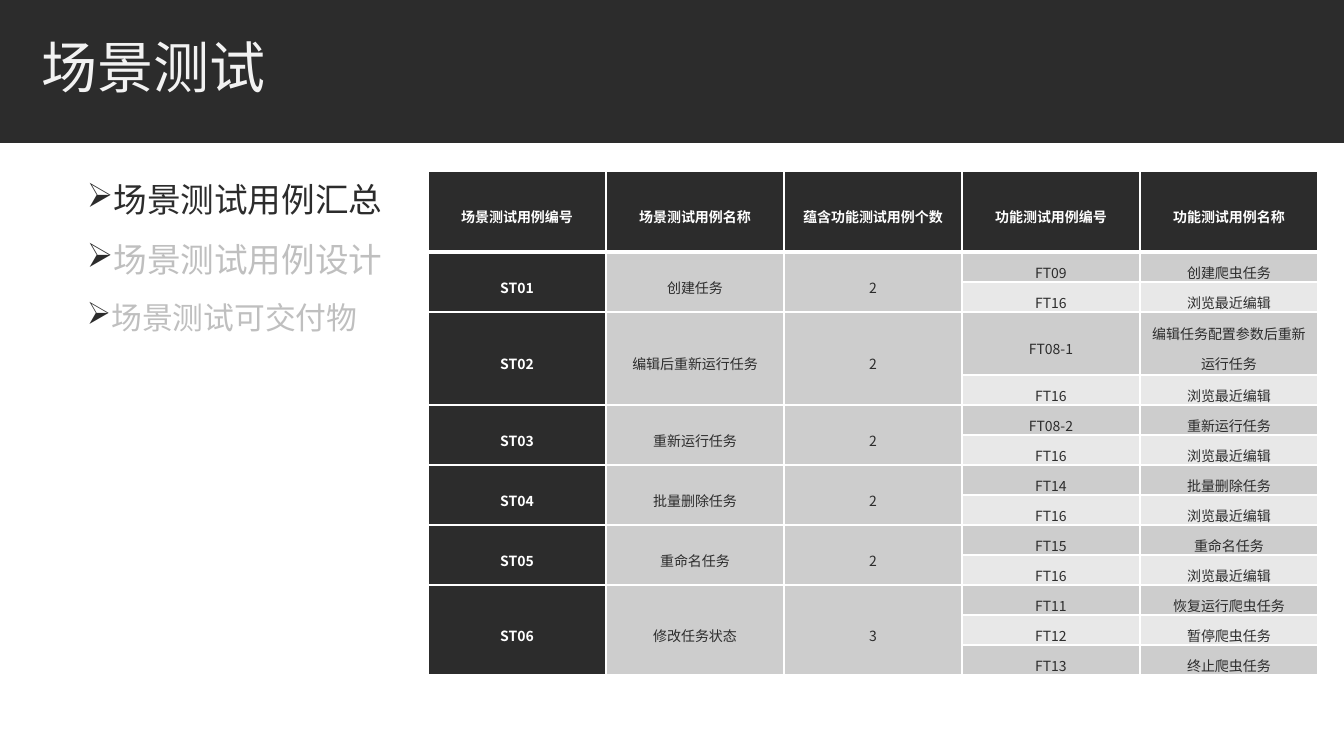
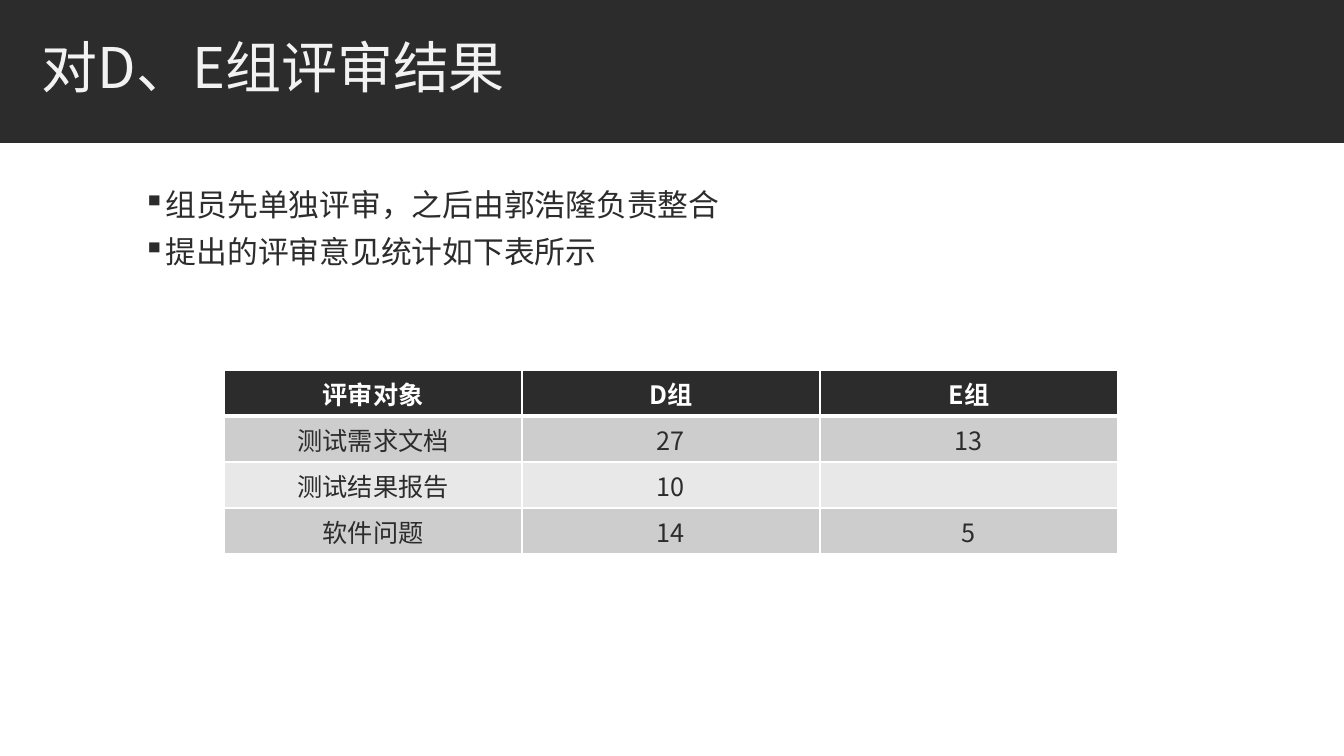
"""Build two slides on scenario testing: a test case summary and review results."""
from lxml import etree
from pptx import Presentation, util as u
from pptx.dml.color import RGBColor
from pptx.enum import shapes, text
from pptx.oxml.ns import qn

PX = 9072
FONT = "Noto Sans CJK SC"
DARK, WHITE, TITLE_INK, MUTED = "2C2C2C", "FFFFFF", "F2F2F2", "BFBFBF"
BANDS = ("E8E8E8", "CDCDCD")


def colour(value):
    return RGBColor.from_string(value)


def style(paragraph, size, ink, spacing=1.0, bold=False):
    paragraph.line_spacing = spacing
    font = paragraph.font
    font.size, font.bold, font.name = u.Pt(size), bold, FONT
    font.color.rgb = colour(ink)
    latin = paragraph._p.pPr.find(qn("a:defRPr")).find(qn("a:latin"))
    east_asian = etree.Element(qn("a:ea"), typeface=FONT)
    latin.addnext(east_asian)


scenarios = [
    ("ST01", "创建任务", [("FT09", "创建爬虫任务"), ("FT16", "浏览最近编辑")]),
    ("ST02", "编辑后重新运行任务",
     [("FT08-1", "编辑任务配置参数后重新运行任务"), ("FT16", "浏览最近编辑")]),
    ("ST03", "重新运行任务", [("FT08-2", "重新运行任务"), ("FT16", "浏览最近编辑")]),
    ("ST04", "批量删除任务", [("FT14", "批量删除任务"), ("FT16", "浏览最近编辑")]),
    ("ST05", "重命名任务", [("FT15", "重命名任务"), ("FT16", "浏览最近编辑")]),
    ("ST06", "修改任务状态",
     [("FT11", "恢复运行爬虫任务"), ("FT12", "暂停爬虫任务"), ("FT13", "终止爬虫任务")]),
]
scenario_rows = [("场景测试用例编号", "场景测试用例名称", "蕴含功能测试用例个数",
                  "功能测试用例编号", "功能测试用例名称")]
for number, name, cases in scenarios:
    for position, case in enumerate(cases):
        lead = (None, None, None) if position else (number, name, str(len(cases)))
        scenario_rows.append(lead + case)

review_rows = [
    ("评审对象", "D组", "E组"),
    ("测试需求文档", "27", "13"),
    ("测试结果报告", "10", ""),
    ("软件问题", "14", "5"),
]

pages = [
    dict(title="场景测试", body=(77, 174, 1010, 549), bullet="➢", spacing=1.0,
         before=12, after=2,
         points=[("场景测试用例汇总", 24, DARK), ("场景测试用例设计", 24, MUTED),
                 ("场景测试可交付物", 22, MUTED)],
         rows=scenario_rows, corner=(428, 171), column=178,
         heights=[81, 30, 30, 63] + [30] * 10,
         margins=(7, 0), size=10, leading=1.5, dark_lead=True),
    dict(title="对D、E组评审结果", body=(133, 172, 1079, 516), bullet="▪", spacing=1.25,
         before=0, after=0,
         points=[("组员先单独评审，之后由郭浩隆负责整合", 22, DARK),
                 ("提出的评审意见统计如下表所示", 22, DARK)],
         rows=review_rows, corner=(224, 370), column=298, heights=[46] * 4,
         margins=(10, 5), size=18, leading=1.0, dark_lead=False),
]

deck = Presentation()
deck.slide_width, deck.slide_height = 1344 * PX, 756 * PX

for page in pages:
    slide = deck.slides.add_slide(deck.slide_layouts[6])

    band = slide.shapes.add_shape(shapes.MSO_SHAPE.RECTANGLE, 0, 0, 1344 * PX, 143 * PX)
    band.shadow.inherit = False
    band.fill.solid()
    band.fill.fore_color.rgb = colour(DARK)
    band.line.fill.background()

    heading = slide.shapes.add_textbox(32 * PX, 26 * PX, 1079 * PX, 91 * PX).text_frame
    heading.word_wrap = True
    heading.vertical_anchor = text.MSO_ANCHOR.MIDDLE
    heading.text = page["title"]
    style(heading.paragraphs[0], 40, TITLE_INK, 0.85)

    body = slide.shapes.add_textbox(*(n * PX for n in page["body"])).text_frame
    body.word_wrap = True
    for index, (point, size, ink) in enumerate(page["points"]):
        paragraph = body.add_paragraph() if index else body.paragraphs[0]
        paragraph.text = point
        properties = paragraph._p.get_or_add_pPr()
        properties.set("marL", str(20 * PX))
        properties.set("indent", str(-20 * PX))
        bullet_ink = etree.SubElement(properties, qn("a:buClr"))
        etree.SubElement(bullet_ink, qn("a:srgbClr"), val=DARK)
        etree.SubElement(properties, qn("a:buChar"), char=page["bullet"])
        paragraph.space_before = u.Pt(page["before"] if index else 0)
        paragraph.space_after = u.Pt(page["after"])
        style(paragraph, size, ink, page["spacing"])

    rows, heights = page["rows"], page["heights"]
    columns = len(rows[0])
    left, top = page["corner"]
    table = slide.shapes.add_table(len(rows), columns, left * PX, top * PX,
                                   columns * page["column"] * PX, sum(heights) * PX).table
    table.horz_banding = False
    table.first_col = page["dark_lead"]
    for row, height in zip(table.rows, heights):
        row.height = height * PX
    for column in table.columns:
        column.width = page["column"] * PX

    side, edge = page["margins"]
    for r, values in enumerate(rows):
        for c, value in enumerate(values):
            cell = table.cell(r, c)
            dark = r == 0 or (c == 0 and page["dark_lead"])
            cell.fill.solid()
            cell.fill.fore_color.rgb = colour(DARK if dark else BANDS[r % 2])
            cell.margin_left = cell.margin_right = side * PX
            cell.margin_top = cell.margin_bottom = edge * PX
            cell.vertical_anchor = text.MSO_ANCHOR.MIDDLE
            weights = dict(lnL=1, lnR=1, lnT=3 if r == 1 else 1, lnB=3 if r == 0 else 1)
            for order, (border, weight) in enumerate(weights.items()):
                line = etree.Element(qn("a:" + border), w=str(u.Pt(weight)))
                fill = etree.SubElement(line, qn("a:solidFill"))
                etree.SubElement(fill, qn("a:srgbClr"), val=WHITE)
                cell._tc.get_or_add_tcPr().insert(order, line)
            paragraph = cell.text_frame.paragraphs[0]
            if value:
                cell.text = value
                paragraph = cell.text_frame.paragraphs[0]
            paragraph.alignment = text.PP_ALIGN.CENTER
            style(paragraph, page["size"], WHITE if dark else DARK, page["leading"], dark)

    for c in range(columns):
        for r in range(len(rows)):
            last = r
            while last + 1 < len(rows) and rows[last + 1][c] is None:
                last += 1
            if rows[r][c] is not None and last > r:
                table.cell(r, c).merge(table.cell(last, c))

deck.save("out.pptx")
